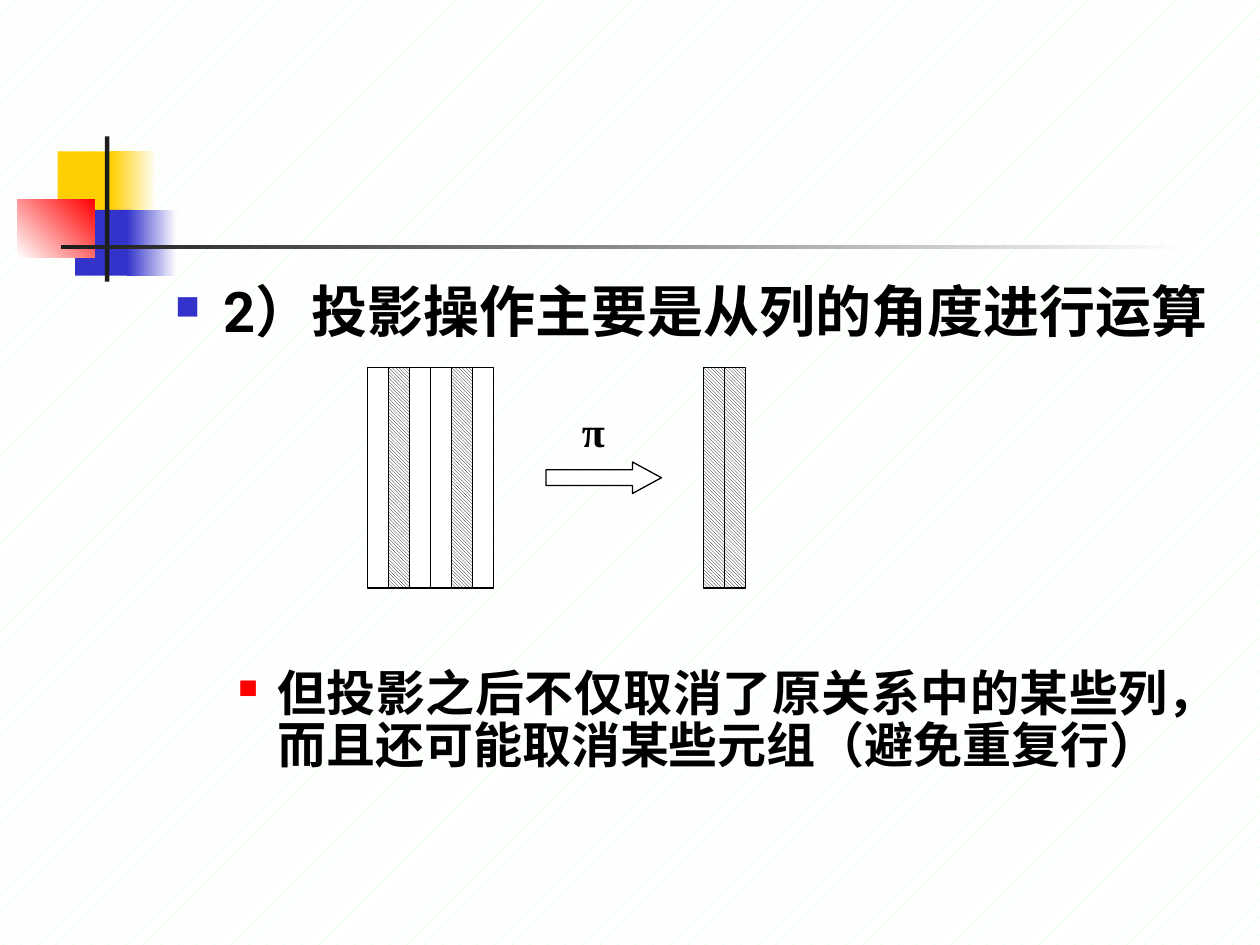
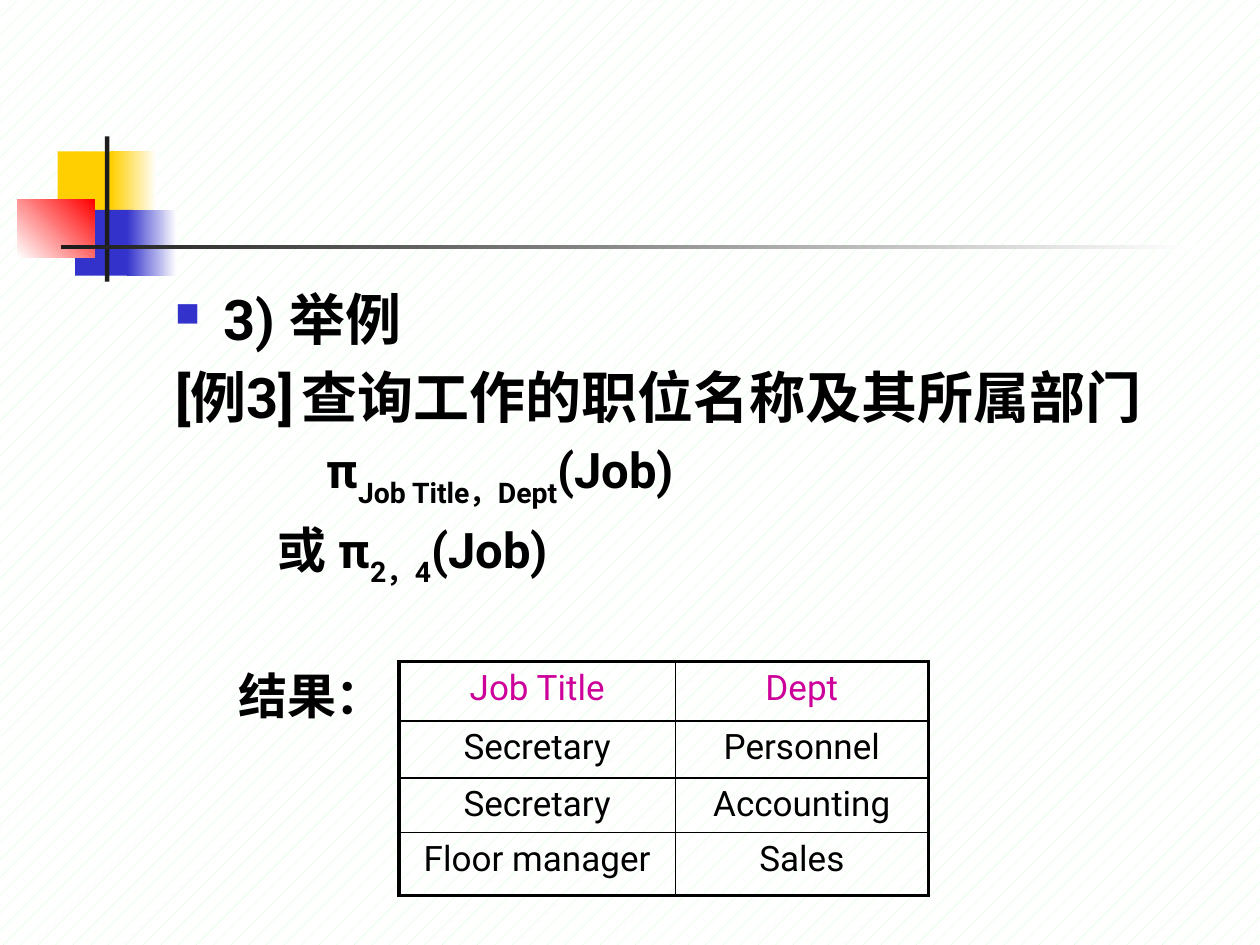
from itertools import product

from lxml.etree import SubElement
from pptx import Presentation
from pptx.dml.color import RGBColor
from pptx.enum.dml import MSO_PATTERN
from pptx.enum.shapes import MSO_SHAPE
from pptx.enum.text import PP_ALIGN
from pptx.oxml.ns import qn
from pptx.util import Emu, Pt

SCALE = 914400 // 144
SANS, SERIF = "Roboto", "Times New Roman"
HEX = {
    "white": "FFFFFF", "black": "000000", "mint": "CCFFCC",
    "gold": "FFCF01", "blue": "3333CC", "red": "FF0000",
    "coal": "1C1C1C", "pink": "CC0099",
}
BODY = (186, 318, 1220, 648)


def px(n):
    return Emu(n * SCALE)


def rgb(name):
    return RGBColor.from_string(HEX[name])


# Shared helpers

def hatch(fill, kind, fore):
    fill.patterned()
    fill.pattern = kind
    fill.fore_color.rgb = rgb(fore)
    fill.back_color.rgb = rgb("white")


def add_block(slide, box, color=None, fade=None, angle=0, edge=False,
              kind=MSO_SHAPE.RECTANGLE):
    """Preset shape; color fades to fade, no color means hatched."""
    shape = slide.shapes.add_shape(kind, *map(px, box))
    shape.shadow.inherit = False
    fill = shape.fill
    if color is None:
        hatch(fill, MSO_PATTERN.LIGHT_DOWNWARD_DIAGONAL, "black")
    elif fade:
        fill.gradient()
        fill.gradient_angle = angle
        for stop, name in zip(fill.gradient_stops, (color, fade)):
            stop.color.rgb = rgb(name)
    else:
        fill.solid()
        fill.fore_color.rgb = rgb(color)
    if edge:
        shape.line.color.rgb = rgb("black")
        shape.line.width = Pt(0.75)
    else:
        shape.line.fill.background()
    return shape


def add_run(para, text, size, color="black", face=SANS, bold=True, sub=False):
    run = para.add_run()
    run.text = text
    font = run.font
    font.size, font.bold, font.name = Pt(size), bold, face
    font.color.rgb = rgb(color)
    props = run._r.get_or_add_rPr()
    SubElement(props, qn("a:ea"), typeface=face)
    if sub:
        props.set("baseline", "-30000")


def add_frame(slide, box):
    frame = slide.shapes.add_textbox(*map(px, box)).text_frame
    frame.word_wrap = True
    return frame


def add_para(frame, parts, size, left=0, hang=0, before=None, spacing=1.0,
             bullet=None, tab=None):
    """One paragraph; parts alternate between normal and subscript text."""
    first = not frame.paragraphs[0].runs
    para = frame.paragraphs[0] if first else frame.add_paragraph()
    para.alignment = PP_ALIGN.JUSTIFY
    para.line_spacing = spacing
    if not first:
        para.space_before = Pt(size * 0.2 if before is None else before)
    props = para._p.get_or_add_pPr()
    props.set("marL", str(px(left)))
    props.set("indent", str(px(-hang)))
    if bullet:
        color, percent = bullet
        tint = SubElement(props, qn("a:buClr"))
        SubElement(tint, qn("a:srgbClr"), val=HEX[color])
        SubElement(props, qn("a:buSzPct"), val=str(percent * 1000))
        # Wingdings draws n as a filled square
        SubElement(props, qn("a:buFont"), typeface="Wingdings", charset="2")
        SubElement(props, qn("a:buChar"), char="n")
    else:
        SubElement(props, qn("a:buNone"))
    if tab:
        tabs = SubElement(props, qn("a:tabLst"))
        SubElement(tabs, qn("a:tab"), pos=str(px(tab)), algn="l")
    for i, text in enumerate(parts):
        add_run(para, text, size, sub=i % 2 == 1)


# Background and corner squares of every slide

def add_base(deck):
    slide = deck.slides.add_slide(deck.slide_layouts[6])
    hatch(slide.background.fill, MSO_PATTERN.PERCENT_5, "mint")
    for box, *paint in (
        ((66, 173, 69, 75), "gold"),
        ((127, 173, 52, 75), "gold", "white"),
        ((86, 240, 66, 75), "blue"),
        ((145, 240, 57, 75), "blue", "white"),
        ((20, 228, 88, 66), "white", "red", 45),
        ((120, 156, 5, 166), "coal"),
        ((70, 280, 1296, 5), "coal", "white"),
    ):
        add_block(slide, box, *paint)
    return slide


# Relation columns before and after the projection

def add_cols(slide, box, marks):
    left, top, width, height = box
    step = width // len(marks)
    for i, mark in enumerate(marks):
        add_block(slide, (left + i * step, top, step, height),
                  None if mark else "white", edge=True)


def draw_flow(slide, box):
    left, top, width, height = box
    mid = left + 204
    arrow = add_block(slide, (mid, top + 108, 132, 36), "white",
                      edge=True, kind=MSO_SHAPE.RIGHT_ARROW)
    arrow.adjustments[0], arrow.adjustments[1] = 0.5, 0.92
    para = add_frame(slide, (mid, top + 36, 108, 72)).paragraphs[0]
    para.alignment = PP_ALIGN.CENTER
    add_run(para, "π", 24, face=SERIF)
    add_cols(slide, (left, top, 144, height), (0, 1, 0, 0, 1, 0))
    add_cols(slide, (left + width - 48, top, 48, height), (1, 1))


def draw_idea(deck):
    slide = add_base(deck)
    frame = add_frame(slide, BODY)
    add_para(frame, ["2）投影操作主要是从列的角度进行运算"], 32, 55, 55,
             spacing=0.9, bullet=("blue", 60))
    add_para(frame, ["但投影之后不仅取消了原关系中的某些列，而且还可能取消某些元组（避免重复行）"],
             28, 117, 45, before=185, spacing=0.9, bullet=("red", 55))
    draw_flow(slide, (420, 420, 432, 252))


# Result table

def set_edge(cell, side, width):
    line = SubElement(cell._tc.get_or_add_tcPr(), qn("a:ln" + side),
                      w=str(Pt(width)))
    fill = SubElement(line, qn("a:solidFill"))
    SubElement(fill, qn("a:srgbClr"), val=HEX["black"])


def draw_table(slide, box, rows, widths, heights):
    table = slide.shapes.add_table(len(rows), len(widths),
                                   *map(px, box)).table
    table.first_row = table.horz_banding = False
    for col, width in zip(table.columns, widths):
        col.width = px(width)
    for row, height in zip(table.rows, heights):
        row.height = px(height)
    last, end = len(rows) - 1, len(widths) - 1
    for r, c in product(range(len(rows)), range(len(widths))):
        cell = table.cell(r, c)
        outer = {"L": c == 0, "R": c == end, "T": r == 0, "B": r == last}
        for side, thick in outer.items():
            set_edge(cell, side, 2.25 if thick else 1)
        cell.fill.background()
        para = cell.text_frame.paragraphs[0]
        para.alignment = PP_ALIGN.CENTER
        add_run(para, rows[r][c], 20, "black" if r else "pink", bold=False)


def draw_case(deck):
    slide = add_base(deck)
    frame = add_frame(slide, BODY)
    add_para(frame, ["3) 举例"], 32, 55, 55, bullet=("blue", 60))
    add_para(frame, ["[例3]\t查询工作的职位名称及其所属部门"], 32, tab=215)
    add_para(frame, ["π", "Job Title，Dept", "(Job)"], 28, 173)
    add_para(frame, ["或 π", "2，4", "(Job)"], 28, 117)
    add_para(frame, ["结果："], 28, 72, before=44)
    rows = (("Job Title", "Dept"), ("Secretary", "Personnel"),
            ("Secretary", "Accounting"), ("Floor manager", "Sales"))
    draw_table(slide, (456, 756, 605, 267), rows, (316, 289),
               (68, 65, 62, 72))


def main():
    deck = Presentation()
    deck.slide_width, deck.slide_height = px(1440), px(1080)
    draw_idea(deck)
    draw_case(deck)
    deck.save("out.pptx")


if __name__ == "__main__":
    main()
